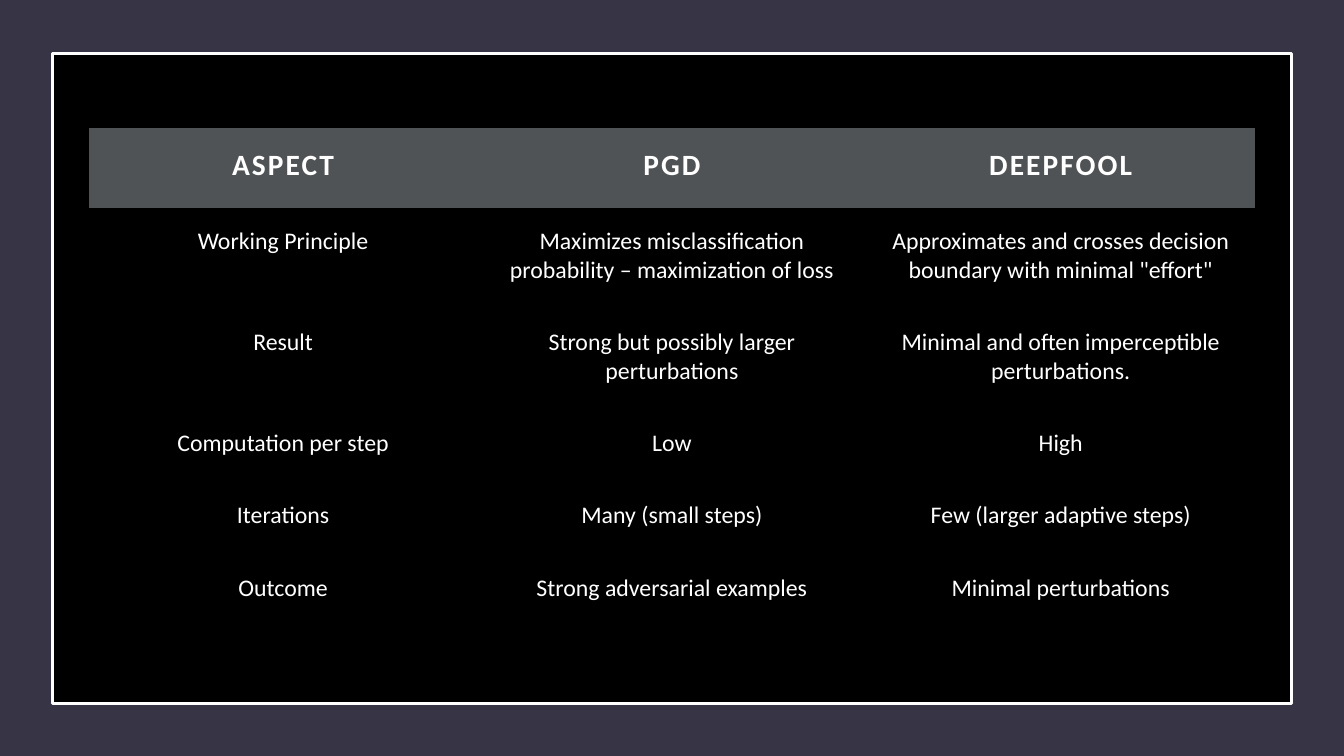
from dataclasses import dataclass

from lxml import etree
from pptx import Presentation
from pptx import util as u
from pptx.dml.color import RGBColor
from pptx.enum import shapes, text
from pptx.oxml.ns import qn

WHITE = RGBColor(0xFF, 0xFF, 0xFF)
BLACK = RGBColor(0x00, 0x00, 0x00)
SLATE = RGBColor(0x37, 0x35, 0x45)
GREY = RGBColor(0x50, 0x53, 0x56)

WIDTH, HEIGHT = u.Inches(13.33), u.Inches(7.5)
FONT = "Calibri"
CELL_MARGIN = u.Inches(0.19)
BAND_ALPHA = 8  # percent
NO_GRID_STYLE = "{2D5ABB26-0587-4C30-8999-92F81FD0307C}"


@dataclass(frozen=True)
class Panel:
    """A rectangle given as shares of the slide's size."""
    left: float
    top: float
    width: float
    height: float
    fill: RGBColor
    outlined: bool = False


@dataclass(frozen=True)
class Row:
    height: float  # inches
    texts: tuple[str, str, str]


PANELS = [
    Panel(0, 0, 1, 1, SLATE),
    Panel(0.52 / 13.33, 0.53 / 7.5, 12.29 / 13.33, 6.45 / 7.5, BLACK, outlined=True),
]

HEADER, TWO_LINES, ONE_LINE = 0.79, 1.0, 0.72
ROWS = [
    Row(HEADER, ("ASPECT", "PGD", "DEEPFOOL")),
    Row(TWO_LINES, ("Working Principle",
                    "Maximizes misclassification probability – maximization of loss",
                    'Approximates and crosses decision boundary with minimal "effort"')),
    Row(TWO_LINES, ("Result",
                    "Strong but possibly larger perturbations",
                    "Minimal and often imperceptible perturbations.")),
    Row(ONE_LINE, ("Computation per step", "Low", "High")),
    Row(ONE_LINE, ("Iterations", "Many (small steps)", "Few (larger adaptive steps)")),
    Row(ONE_LINE, ("Outcome", "Strong adversarial examples", "Minimal perturbations")),
]


def draw_panel(slide, panel: Panel) -> None:
    shape = slide.shapes.add_shape(
        shapes.MSO_SHAPE.RECTANGLE,
        int(WIDTH * panel.left), int(HEIGHT * panel.top),
        int(WIDTH * panel.width), int(HEIGHT * panel.height))
    shape.shadow.inherit = False
    shape.fill.solid()
    shape.fill.fore_color.rgb = panel.fill
    if panel.outlined:
        shape.line.color.rgb = WHITE
        shape.line.width = u.Pt(1.75)
    else:
        shape.line.fill.background()


def fill_cell(cell, row_index: int) -> None:
    """Grey header, then alternating clear and faintly tinted rows."""
    if row_index % 2:
        cell.fill.background()
        return
    cell.fill.solid()
    cell.fill.fore_color.rgb = BLACK if row_index else GREY
    if row_index:
        color = cell._tc.tcPr.find(".//" + qn("a:srgbClr"))
        etree.SubElement(color, qn("a:alpha")).set("val", str(BAND_ALPHA * 1000))


def write_cell(cell, wording: str, is_header: bool) -> None:
    cell.margin_left = cell.margin_right = CELL_MARGIN
    cell.margin_top = cell.margin_bottom = CELL_MARGIN
    cell.vertical_anchor = text.MSO_ANCHOR.TOP
    cell.text_frame.text = wording
    paragraph = cell.text_frame.paragraphs[0]
    paragraph.alignment = text.PP_ALIGN.CENTER
    run = paragraph.runs[0]
    run.font.name = FONT
    run.font.size = u.Pt(21 if is_header else 17)
    run.font.bold = is_header
    run.font.color.rgb = WHITE
    if is_header:
        run._r.get_or_add_rPr().set("spc", "150")


def draw_table(slide, rows: list[Row]) -> None:
    column_count = len(rows[0].texts)
    frame = slide.shapes.add_table(
        len(rows), column_count, u.Inches(0.88), u.Inches(1.27),
        u.Inches(11.57), u.Inches(sum(row.height for row in rows)))
    table = frame.table
    table.horz_banding = False
    table._tbl.tblPr.find(qn("a:tableStyleId")).text = NO_GRID_STYLE
    for row_index, row in enumerate(rows):
        table.rows[row_index].height = u.Inches(row.height)
        for column_index, wording in enumerate(row.texts):
            cell = table.cell(row_index, column_index)
            write_cell(cell, wording, is_header=row_index == 0)
            fill_cell(cell, row_index)


def main() -> None:
    presentation = Presentation()
    presentation.slide_width, presentation.slide_height = WIDTH, HEIGHT
    slide = presentation.slides.add_slide(presentation.slide_layouts[6])
    slide.background.fill.solid()
    slide.background.fill.fore_color.rgb = BLACK

    # Slate surround and outlined black panel
    for panel in PANELS:
        draw_panel(slide, panel)

    # Comparison of the two attacks
    draw_table(slide, ROWS)

    presentation.save("out.pptx")


if __name__ == "__main__":
    main()
